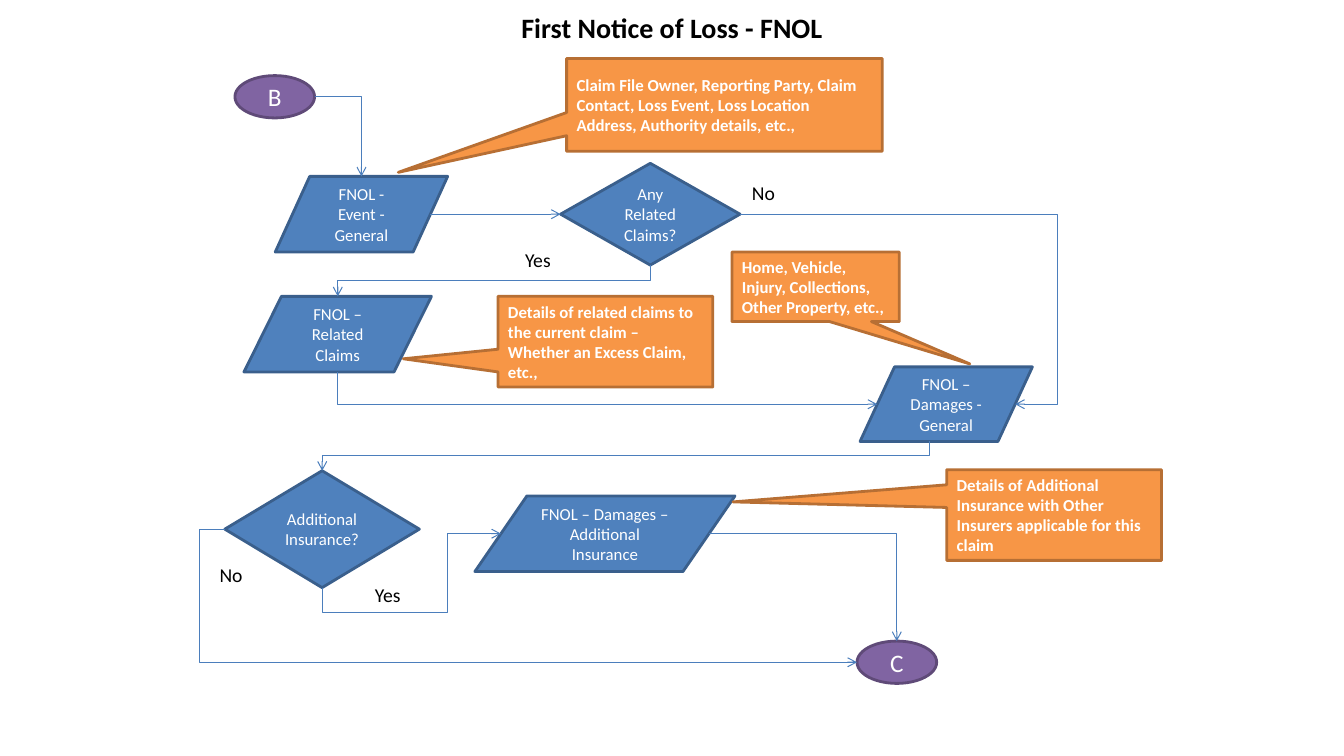
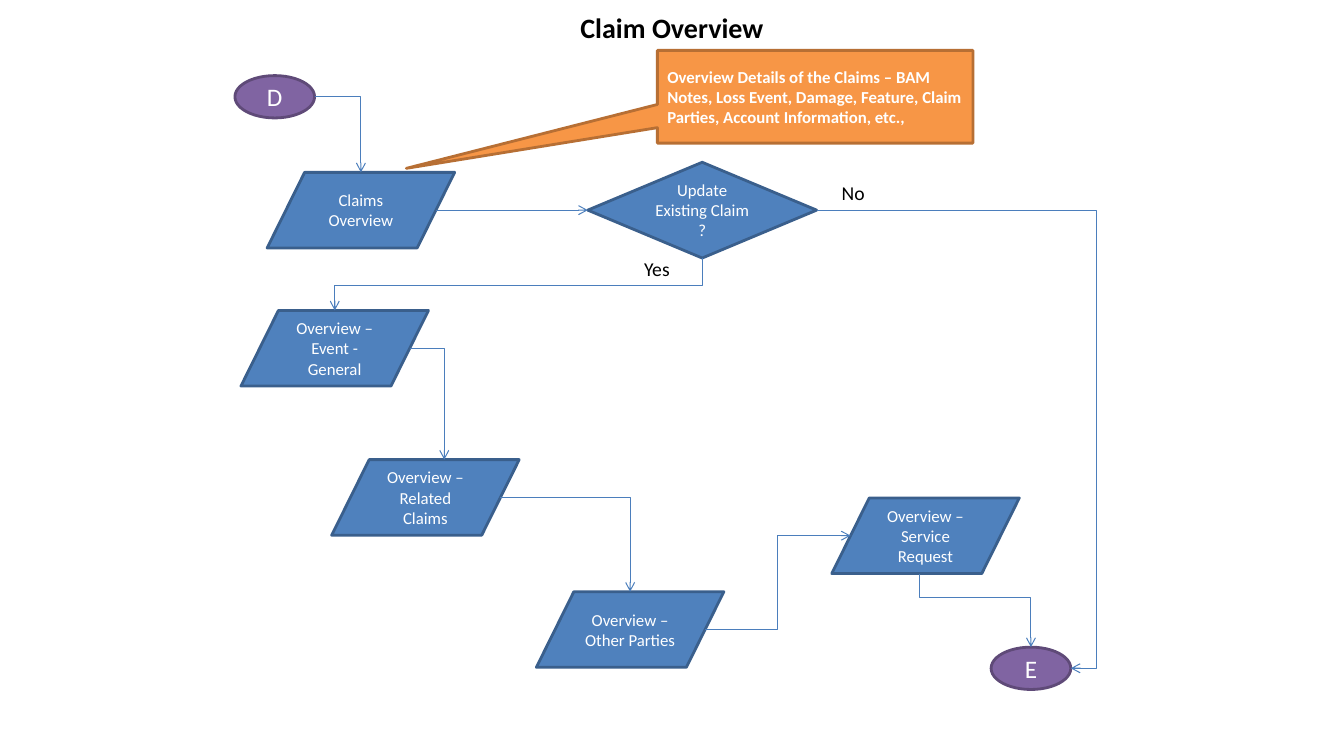
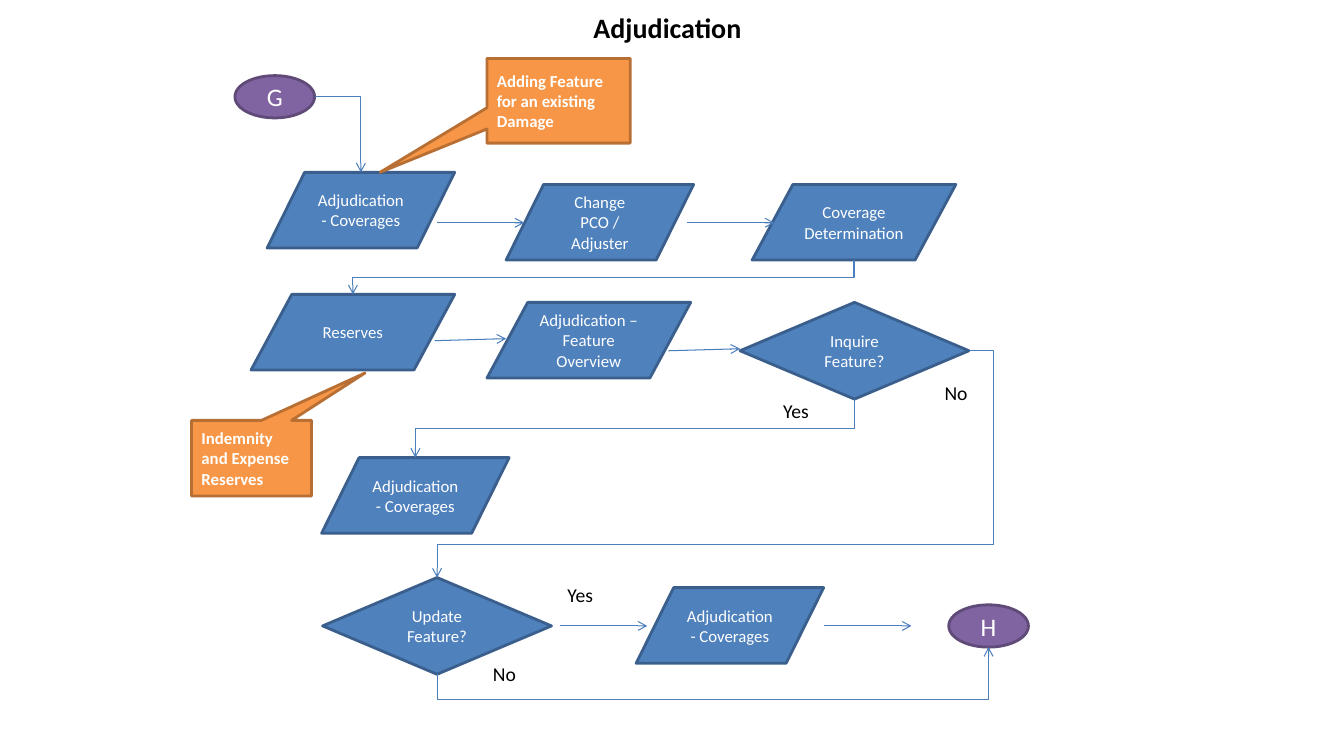
from collections import namedtuple

from lxml import etree
from pptx import Presentation
from pptx.dml.color import RGBColor
from pptx.enum.shapes import MSO_CONNECTOR, MSO_SHAPE
from pptx.enum.text import MSO_ANCHOR, PP_ALIGN
from pptx.oxml.ns import qn
from pptx.util import Emu, Pt

PX = 9144
WIDE, HIGH = 1333, 750
FONT = "Calibri"
COLORS = {
    "black": "000000", "white": "FFFFFF",
    "blue": "4F81BD", "navy": "3A5F8C", "link": "4B7EBC",
    "purple": "8064A2", "plum": "5F4A78",
    "orange": "F79646", "rust": "B76F34",
}
LEFT, CENTER = PP_ALIGN.LEFT, PP_ALIGN.CENTER
TOP, MIDDLE = MSO_ANCHOR.TOP, MSO_ANCHOR.MIDDLE
STRAIGHT, ELBOW = MSO_CONNECTOR.STRAIGHT, MSO_CONNECTOR.ELBOW
DATA, CHOICE = MSO_SHAPE.FLOWCHART_DATA, MSO_SHAPE.FLOWCHART_DECISION
OVAL, CALLOUT = MSO_SHAPE.OVAL, MSO_SHAPE.RECTANGULAR_CALLOUT
SITES = {
    DATA: {"apex": 0, "top": 1, "left": 2, "foot": 3, "bottom": 4, "right": 5},
    CHOICE: {"top": 0, "left": 1, "bottom": 2, "right": 3},
    OVAL: {"top": 0, "left": 2, "bottom": 4, "right": 6},
}
Port = namedtuple("Port", "x y shape site", defaults=(None, None))


def emu(*sizes):
    return [Emu(round(size * PX)) for size in sizes]


def color(name):
    return RGBColor.from_string(COLORS[name])


def write(shape, text, size=12, tint="white", bold=False, align=CENTER, anchor=MIDDLE):
    frame = shape.text_frame
    frame.word_wrap = True
    frame.vertical_anchor = anchor
    par = frame.paragraphs[0]
    par.text = text
    par.alignment = align
    for run in par.runs:
        run.font.name = FONT
        run.font.size = Pt(size)
        run.font.bold = bold
        run.font.color.rgb = color(tint)


def block(slide, kind, box, fill, edge):
    shape = slide.shapes.add_shape(kind, *emu(*box))
    shape.shadow.inherit = False
    shape.fill.solid()
    shape.fill.fore_color.rgb = color(fill)
    shape.line.color.rgb = color(edge)
    shape.line.width = Pt(2)
    return shape


def node(slide, kind, text, box, fill="blue", edge="navy", size=12):
    shape = block(slide, kind, box, fill, edge)
    write(shape, text, size=size)
    x, y, w, h = box
    slant = w / 10 if kind == DATA else 0
    spots = {"left": (x + slant, y + h / 2), "right": (x + w - slant, y + h / 2),
             "top": (x + w / 2, y), "bottom": (x + w / 2, y + h),
             "apex": (x + w * 0.6, y), "foot": (x + w * 0.4, y + h)}
    return {side: Port(*spots[side], shape, site) for side, site in SITES[kind].items()}


def data(slide, text, x, y, w=186, h=75):
    return node(slide, DATA, text, (x, y, w, h))


def choice(slide, text, x, y, w=227, h=96):
    return node(slide, CHOICE, text, (x, y, w, h))


def link(slide, text, x, y):
    return node(slide, OVAL, text, (x, y, 79, 42), "purple", "plum", 18)


def note(slide, text, box, tip):
    shape = block(slide, CALLOUT, box, "orange", "rust")
    x, y, w, h = box
    shape.adjustments[0] = (tip[0] - x - w / 2) / w
    shape.adjustments[1] = (tip[1] - y - h / 2) / h
    write(shape, text, bold=True, align=LEFT)


def label(slide, text, x, y):
    box = slide.shapes.add_textbox(*emu(x, y, 50, 34))
    write(box, text, size=14, tint="black", align=LEFT, anchor=TOP)


def wire(slide, kind, ends, spots):
    line = slide.shapes.add_connector(kind, *emu(*spots))
    line.line.color.rgb = color("link")
    line.line.width = Pt(0.75)
    props = line.element.spPr
    etree.SubElement(props.find(qn("a:ln")), qn("a:tailEnd"), type="arrow")
    etree.SubElement(props, qn("a:effectLst"))
    glue = line.element.find(".//" + qn("p:cNvCxnSpPr"))
    for tag, port in zip(("a:stCxn", "a:endCxn"), ends):
        if port.shape is not None:
            etree.SubElement(glue, qn(tag), id=str(port.shape.shape_id), idx=str(port.site))
    return line


def arrow(slide, start, end):
    wire(slide, STRAIGHT, (start, end), (*start[:2], *end[:2]))


def route(slide, start, end, axis, turns):
    spots = (*start[:2], *end[:2])
    angle = 0
    if axis:
        angle = 270 if end.x > start.x and end.y > start.y else 90
        sign = 1 if angle == 90 else -1
        mid, row = (start.x + end.x) / 2, (start.y + end.y) / 2
        over, drop = sign * (end.y - start.y) / 2, sign * (end.x - start.x) / 2
        spots = (mid - over, row + drop, mid + over, row - drop)
    line = wire(slide, ELBOW, (start, end), spots)
    line.rotation = angle
    shape = line.element.spPr.find(qn("a:prstGeom"))
    shape.set("prst", f"bentConnector{len(turns) + 2}")
    guides = shape.find(qn("a:avLst"))
    for count, turn in enumerate(turns, 1):
        ratio = (turn - start[axis]) / (end[axis] - start[axis])
        etree.SubElement(guides, qn("a:gd"), name=f"adj{count}",
                         fmla=f"val {round(ratio * 100000)}")
        axis = 1 - axis


def across(slide, start, end, *turns):
    route(slide, start, end, 0, turns)


def down(slide, start, end, *turns):
    route(slide, start, end, 1, turns)


def begin(deck, title, mark, x=0, w=WIDE):
    slide = deck.slides.add_slide(deck.slide_layouts[6])
    box = slide.shapes.add_textbox(*emu(x, 5, w, 45))
    write(box, title, size=20, tint="black", bold=True)
    return slide, link(slide, mark, 233, 75)


def notice(deck):
    slide, start = begin(deck, "First Notice of Loss - FNOL", "B")
    event = data(slide, "FNOL - Event - General", 273, 175, 171)
    query = choice(slide, "Any Related Claims?", 556, 162, 178, 101)
    claims = data(slide, "FNOL – Related Claims", 242, 294)
    damage = data(slide, "FNOL – Damages - General", 853, 364, 171, 74)
    cover = choice(slide, "Additional Insurance?", 223, 467, 193, 116)
    extra = data(slide, "FNOL – Damages – Additional Insurance", 471, 492, 258)
    end = link(slide, "C", 850, 636)

    note(slide, "Claim File Owner, Reporting Party, Claim Contact, Loss Event, "
         "Loss Location Address, Authority details, etc.,", (562, 58, 313, 92), (395, 171))
    note(slide, "Details of related claims to the current claim – Whether an "
         "Excess Claim, etc.,", (494, 294, 213, 90), (400, 356))
    note(slide, "Home, Vehicle, Injury, Collections, Other Property, etc.,",
         (726, 250, 166, 69), (962, 361))
    note(slide, "Details of Additional Insurance with Other Insurers applicable "
         "for this claim", (939, 466, 213, 90), (727, 498))

    across(slide, start["right"], event["top"])
    arrow(slide, event["right"], query["left"])
    down(slide, query["bottom"], claims["top"], 278)
    across(slide, query["right"], damage["right"], 1049)
    down(slide, claims["bottom"], damage["left"])
    down(slide, damage["foot"], cover["top"], 452)
    down(slide, cover["bottom"], extra["left"], 608, 444)
    across(slide, extra["right"], end["top"])
    across(slide, cover["left"], end["left"], 198)

    label(slide, "Yes", 511, 241)
    label(slide, "No", 736, 175)
    label(slide, "Yes", 362, 573)
    label(slide, "No", 208, 554)


def claim(deck):
    slide, start = begin(deck, "Claim Overview", "D")
    claims = data(slide, "Claims Overview", 265, 171)
    query = choice(slide, "Update Existing Claim ?", 583, 161, h=95)
    event = data(slide, "Overview – Event - General", 239, 308)
    linked = data(slide, "Overview – Related Claims", 329, 456)
    others = data(slide, "Overview – Other Parties", 532, 587)
    service = data(slide, "Overview – Service Request", 825, 494)
    end = link(slide, "E", 983, 642)

    note(slide, "Overview Details of the Claims – BAM Notes, Loss Event, Damage, "
         "Feature, Claim Parties, Account Information, etc.,", (652, 50, 313, 92), (403, 167))

    across(slide, start["right"], claims["top"])
    arrow(slide, claims["right"], query["left"])
    down(slide, query["bottom"], event["top"], 283)
    across(slide, query["right"], end["right"], 1088)
    across(slide, event["right"], linked["apex"])
    across(slide, linked["right"], others["top"])
    across(slide, others["right"], service["left"], 771)
    down(slide, Port(912, 569), end["top"], 593)

    label(slide, "Yes", 629, 250)
    label(slide, "No", 825, 175)


def decide(deck):
    slide, start = begin(deck, "Adjudication", "G", 166, 992)
    cover = "Adjudication\v- Coverages"
    first = data(slide, cover, 265, 171)
    data(slide, "Change PCO / Adjuster", 502, 183)
    settle = data(slide, "Coverage Determination", 746, 183, 202)
    funds = data(slide, "Reserves", 249, 292, 202)
    data(slide, "Adjudication – Feature Overview", 483, 300, 202)
    query = choice(slide, "Inquire Feature?", 734, 300)
    second = data(slide, cover, 319, 454)
    update = choice(slide, "Update Feature?", 320, 573)
    data(slide, cover, 631, 583)
    end = link(slide, "H", 941, 600)

    note(slide, "Adding Feature for an existing Damage", (483, 58, 142, 84), (377, 171))
    note(slide, "Indemnity and Expense Reserves", (190, 417, 119, 75), (362, 370))

    across(slide, start["right"], first["top"])
    down(slide, settle["bottom"], funds["top"], 275)
    down(slide, query["bottom"], second["top"], 425)
    across(slide, query["right"], update["top"], 986, 540)
    down(slide, update["bottom"], end["bottom"], 694)
    for x, y in (433, 221), (681, 221), (555, 621), (817, 621):
        arrow(slide, Port(x, y), Port(x + 87, y))
    for x, y in (431, 338), (663, 348):
        arrow(slide, Port(x, y), Port(x + 71, y - 2))

    label(slide, "Yes", 767, 391)
    label(slide, "No", 927, 373)
    label(slide, "Yes", 553, 573)
    label(slide, "No", 479, 652)


def main():
    deck = Presentation()
    deck.slide_width, deck.slide_height = emu(WIDE, HIGH)
    notice(deck)
    claim(deck)
    decide(deck)
    deck.save("out.pptx")


if __name__ == "__main__":
    main()
